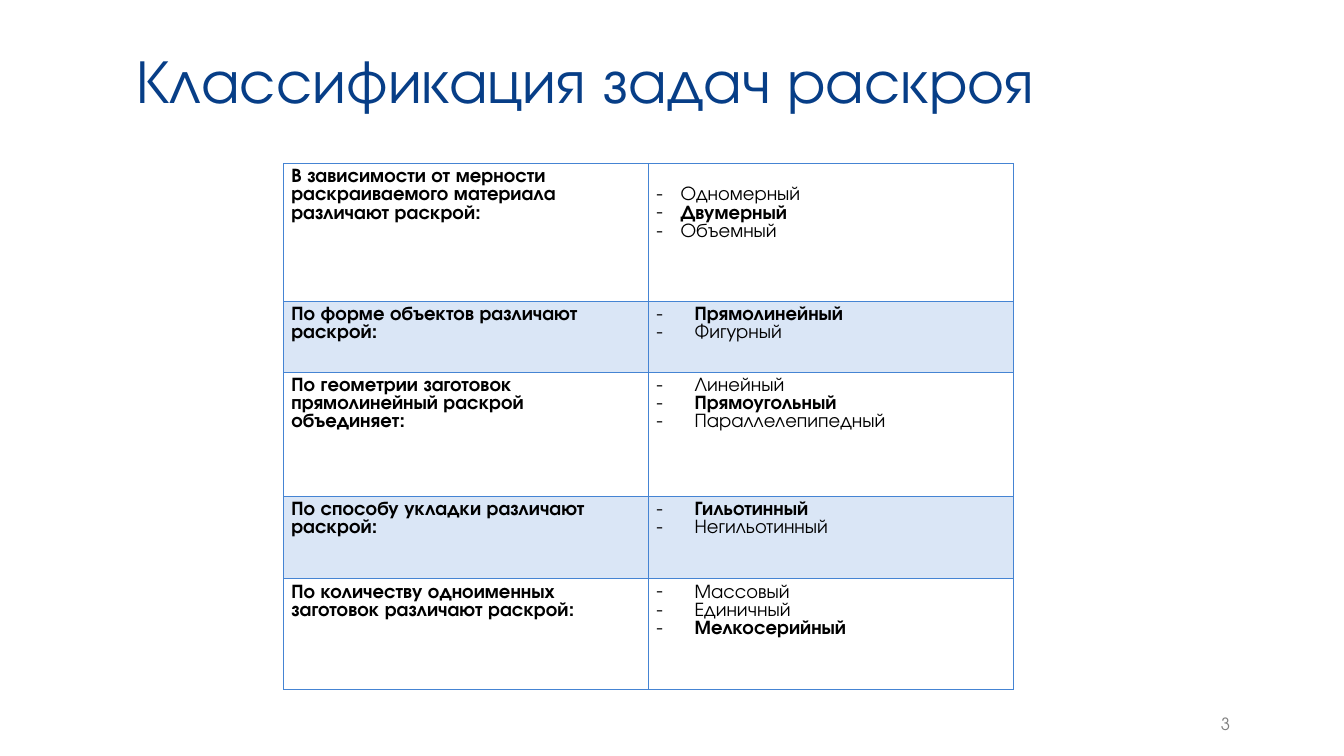
from lxml.etree import SubElement
from pptx import Presentation
from pptx.dml.color import RGBColor
from pptx.enum.text import MSO_ANCHOR as Anchor, PP_ALIGN as Align
from pptx.oxml.ns import qn
from pptx.util import Inches, Pt

FONT = "TeX Gyre Adventor"
BLUE, BLACK, NAVY, GRAY = "4584D3", "000000", "073E87", "7F7F7F"
WIDTH, HEIGHT = Inches(13.33), Inches(7.5)
ROW_HEIGHTS = (1.37, 0.7, 1.23, 0.82, 1.1)
WIDE_INDENT, NARROW_INDENT = 0.38, 0.24
LINE_HEIGHT = 0.18

# Criterion, kinds of cutting, position of the kind in bold
CRITERIA = (
    ("В зависимости от мерности раскраиваемого материала различают раскрой:",
     ("Одномерный", "Двумерный", "Объемный"), 1),
    ("По форме объектов различают раскрой:",
     ("Прямолинейный", "Фигурный"), 0),
    ("По геометрии заготовок прямолинейный раскрой объединяет:",
     ("Линейный", "Прямоугольный", "Параллелепипедный"), 1),
    ("По способу укладки различают раскрой:",
     ("Гильотинный", "Негильотинный"), 0),
    ("По количеству одноименных заготовок различают раскрой:",
     ("Массовый", "Единичный", "Мелкосерийный"), 2),
)


def color(code):
    return RGBColor.from_string(code)


def format_paragraph(para, size, code, bold=False, spacing=None):
    para.line_spacing = spacing
    for span in para.runs:
        span.font.name = FONT
        span.font.size = Pt(size)
        span.font.bold = bold
        span.font.color.rgb = color(code)


def place(shape, left, top, width, height):
    """Place a shape by shares of the slide's width and height."""
    shape.left, shape.width = int(WIDTH * left), int(WIDTH * width)
    shape.top, shape.height = int(HEIGHT * top), int(HEIGHT * height)


def fill_text(shape, text, size, code, align, spacing=None):
    frame = shape.text_frame
    frame.text = text
    frame.word_wrap = True
    frame.vertical_anchor = Anchor.BOTTOM
    frame.margin_left = frame.margin_right = Inches(0.13)
    frame.margin_top = frame.margin_bottom = Inches(0.07)
    frame.paragraphs[0].alignment = align
    format_paragraph(frame.paragraphs[0], size, code, spacing=spacing)


def add_dash(para, indent):
    properties = para._p.get_or_add_pPr()
    properties.set("marL", str(Inches(indent)))
    properties.set("indent", str(-Inches(indent)))
    SubElement(properties, qn("a:buFont"), typeface=FONT)
    SubElement(properties, qn("a:buChar"), char="-")


def add_borders(cell):
    """Outline a cell; call before filling, as lines come first in its XML."""
    properties = cell._tc.get_or_add_tcPr()
    for side in ("a:lnL", "a:lnR", "a:lnT", "a:lnB"):
        line = SubElement(properties, qn(side), w=str(Pt(0.45)))
        fill = SubElement(line, qn("a:solidFill"))
        SubElement(fill, qn("a:srgbClr"), val=BLUE)


def style_cell(cell, shaded):
    add_borders(cell)
    cell.margin_left = cell.margin_right = Inches(0.08)
    cell.margin_top = cell.margin_bottom = Inches(0.05)
    cell.fill.solid()
    cell.fill.fore_color.rgb = color("DAE6F6" if shaded else "FFFFFF")


def add_criteria_table(page):
    frame = page.shapes.add_table(len(CRITERIA), 2, Inches(2.81), Inches(1.62),
                                  Inches(7.24), Inches(sum(ROW_HEIGHTS)))
    table = frame.table
    table.first_row = table.horz_banding = False
    for index, (criterion, kinds, bold_kind) in enumerate(CRITERIA):
        table.rows[index].height = Inches(ROW_HEIGHTS[index])
        name_cell, kinds_cell = table.rows[index].cells
        for cell in (name_cell, kinds_cell):
            style_cell(cell, shaded=index % 2 == 1)
        name_cell.text_frame.text = criterion
        format_paragraph(name_cell.text_frame.paragraphs[0], 14, BLACK, bold=True)
        kinds_cell.text_frame.text = "\n".join(kinds)
        for position, para in enumerate(kinds_cell.text_frame.paragraphs):
            add_dash(para, WIDE_INDENT if index else NARROW_INDENT)
            format_paragraph(para, 14, BLACK, bold=position == bold_kind)
    table.cell(0, 1).margin_top = Inches(0.05 + LINE_HEIGHT)


def main():
    deck = Presentation()
    deck.slide_width, deck.slide_height = WIDTH, HEIGHT
    page = deck.slides.add_slide(deck.slide_layouts[5])
    title = page.shapes.title
    place(title, 0.0915, 0.01, 0.8335, 0.153)
    fill_text(title, "Классификация задач раскроя", 44, NAVY, Align.LEFT, 0.85)
    add_criteria_table(page)
    number = page.shapes.add_textbox(0, 0, 0, 0)
    place(number, 0.834, 0.933, 0.091, 0.047)
    fill_text(number, "3", 12, GRAY, Align.RIGHT)
    deck.save("out.pptx")


if __name__ == "__main__":
    main()
